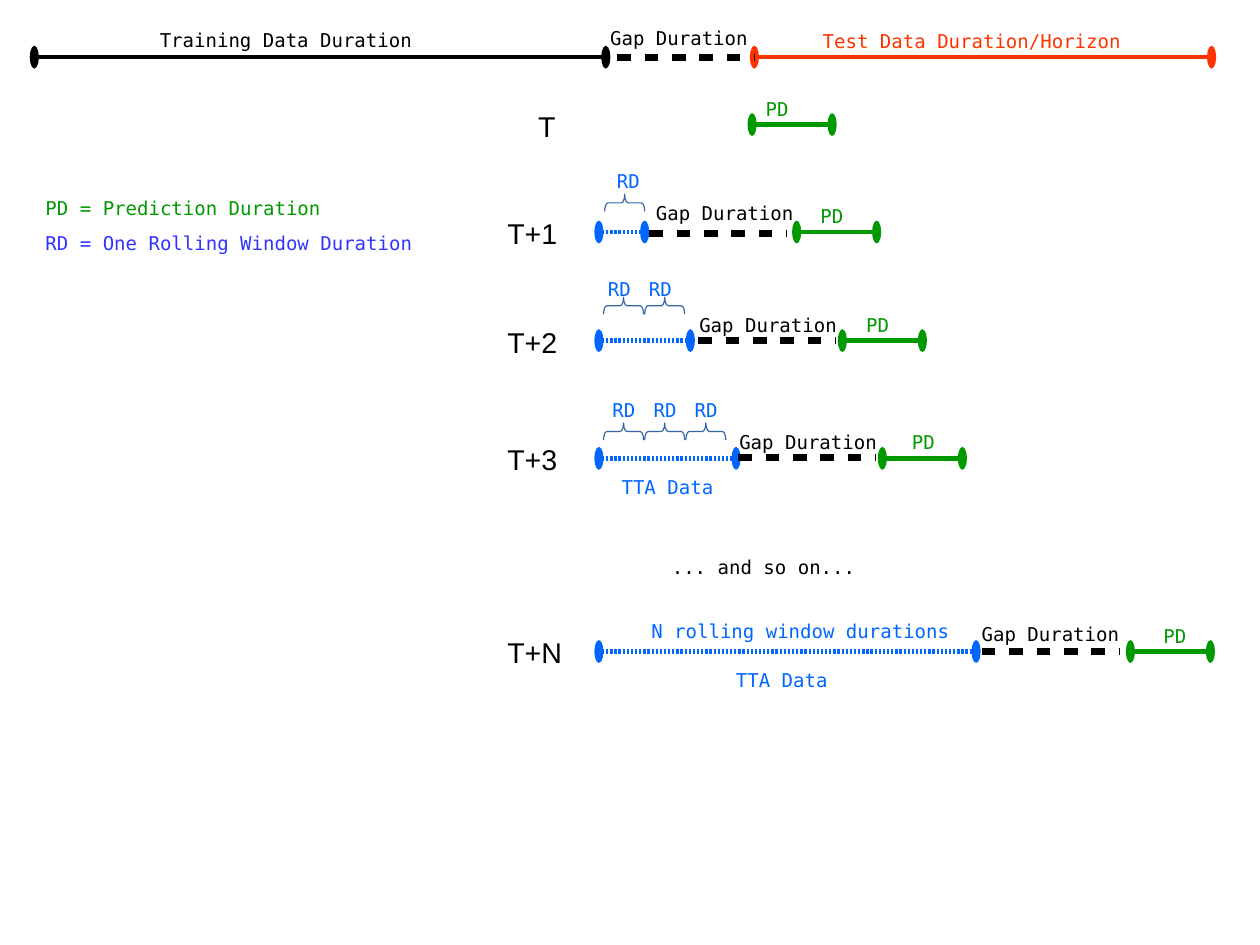
from lxml import etree
from pptx import Presentation
from pptx.dml.color import RGBColor
from pptx.enum.shapes import MSO_CONNECTOR, MSO_SHAPE
from pptx.enum.text import MSO_AUTO_SIZE
from pptx.oxml.ns import qn
from pptx.util import Inches, Pt

STRAIGHT = MSO_CONNECTOR.STRAIGHT
LEFT_BRACE = MSO_SHAPE.LEFT_BRACE
GROW = MSO_AUTO_SIZE.SHAPE_TO_FIT_TEXT

BLACK, RED, GREEN = "000000", "FF3300", "009900"
BLUE, INDIGO, BRACE_BLUE = "0066FF", "3333FF", "3465A4"
MONO, SANS = "DejaVu Sans Mono", "Arial"
GAP_DASH, DOTS = (200000, 200000), (50000, 40000)
GAP_LENGTH, PREDICTION_LENGTH = 1.2, 0.7
WINDOW_START, WINDOW_STEP = 5.24, 0.36
BRACE_LENGTH, BRACE_HEIGHT = 0.35, 0.15

presentation = Presentation()
presentation.slide_width = Inches(28 / 2.54)
presentation.slide_height = Inches(21 / 2.54)
slide = presentation.slides.add_slide(presentation.slide_layouts[6])


def add_duration(start, end, y, color, width=2.89, ovals=True, dash=None):
    connector = slide.shapes.add_connector(
        STRAIGHT, Inches(start), Inches(y), Inches(end), Inches(y))
    connector.line.color.rgb = RGBColor.from_string(color)
    connector.line.width = Pt(width)
    properties = connector.element.spPr
    line = properties.find(qn("a:ln"))
    if dash:
        custom_dash = etree.SubElement(line, qn("a:custDash"))
        etree.SubElement(custom_dash, qn("a:ds"), d=str(dash[0]), sp=str(dash[1]))
    if ovals:
        for end_name in ("a:headEnd", "a:tailEnd"):
            etree.SubElement(line, qn(end_name), type="oval", w="lg", len="sm")
    etree.SubElement(properties, qn("a:effectLst"))


def add_label(text, left, top, color, font=MONO, size=12, width=None, height=0.29):
    width = width or 0.24 + 0.1 * len(text)
    shape = slide.shapes.add_textbox(
        Inches(left), Inches(top), Inches(width), Inches(height))
    text_frame = shape.text_frame
    text_frame.text = text
    text_frame.word_wrap = False
    text_frame.auto_size = GROW
    run = text_frame.paragraphs[0].runs[0]
    run.font.name = font
    run.font.size = Pt(size)
    run.font.color.rgb = RGBColor.from_string(color)


add_duration(0.3, 5.3, 0.5, BLACK)
add_duration(6.6, 10.6, 0.5, RED)

for text, left, top, color in [
    ("Training Data Duration", 1.3, 0.2, BLACK),
    ("Test Data Duration/Horizon", 7.1, 0.21, RED),
    ("PD = Prediction Duration", 0.3, 1.67, GREEN),
    ("RD = One Rolling Window Duration", 0.3, 1.98, INDIGO),
    ("TTA Data", 5.34, 4.11, BLUE),
    ("... and so on...", 5.78, 4.81, BLACK),
    ("N rolling window durations", 5.6, 5.37, BLUE),
    ("TTA Data", 6.34, 5.8, BLUE),
]:
    add_label(text, left, top, color)

for step, left, width, y, prediction_start, prediction_label in [
    ("T", 4.61, 0.35, 1.09, 6.58, 6.6),
    ("T+1", 4.34, 0.64, 2.03, 6.97, 7.08),
    ("T+2", 4.34, 0.64, 2.98, 7.37, 7.48),
    ("T+3", 4.34, 0.64, 4.01, 7.72, 7.88),
    ("T+N", 4.34, 0.68, 5.7, 9.89, 10.08),
]:
    add_label(step, left, y - 0.19, BLACK, SANS, 18, width, 0.38)
    add_duration(prediction_start, prediction_start + PREDICTION_LENGTH, y, GREEN)
    add_label("PD", prediction_label, y - 0.29, GREEN)

for window_end, y in [(5.64, 2.03), (6.04, 2.98), (6.44, 4.01), (8.54, 5.7)]:
    add_duration(WINDOW_START, window_end, y, BLUE, dash=DOTS)

for gap_start, y, label_left, label_top in [
    (5.4, 0.5, 5.24, 0.18),
    (5.68, 2.04, 5.64, 1.71),
    (6.11, 2.98, 6.02, 2.69),
    (6.46, 4, 6.37, 3.72),
    (8.59, 5.7, 8.49, 5.4),
]:
    add_duration(gap_start, gap_start + GAP_LENGTH, y, BLACK, 4.31, False, GAP_DASH)
    add_label("Gap Duration", label_left, label_top, BLACK)

for count, brace_left, brace_top, label_left, label_top in [
    (1, 5.29, 1.7, 5.3, 1.43),
    (2, 5.28, 2.6, 5.22, 2.38),
    (3, 5.28, 3.7, 5.26, 3.44),
]:
    for window in range(count):
        offset = window * WINDOW_STEP
        turn = (BRACE_LENGTH - BRACE_HEIGHT) / 2
        brace = slide.shapes.add_shape(
            LEFT_BRACE, Inches(brace_left + offset + turn), Inches(brace_top - turn),
            Inches(BRACE_HEIGHT), Inches(BRACE_LENGTH))
        brace.rotation = 90
        brace.adjustments[0] = 0.19
        brace.shadow.inherit = False
        brace.fill.background()
        brace.line.color.rgb = RGBColor.from_string(BRACE_BLUE)
        brace.line.width = Pt(0)
        add_label("RD", label_left + offset, label_top, BLUE)

presentation.save("out.pptx")
